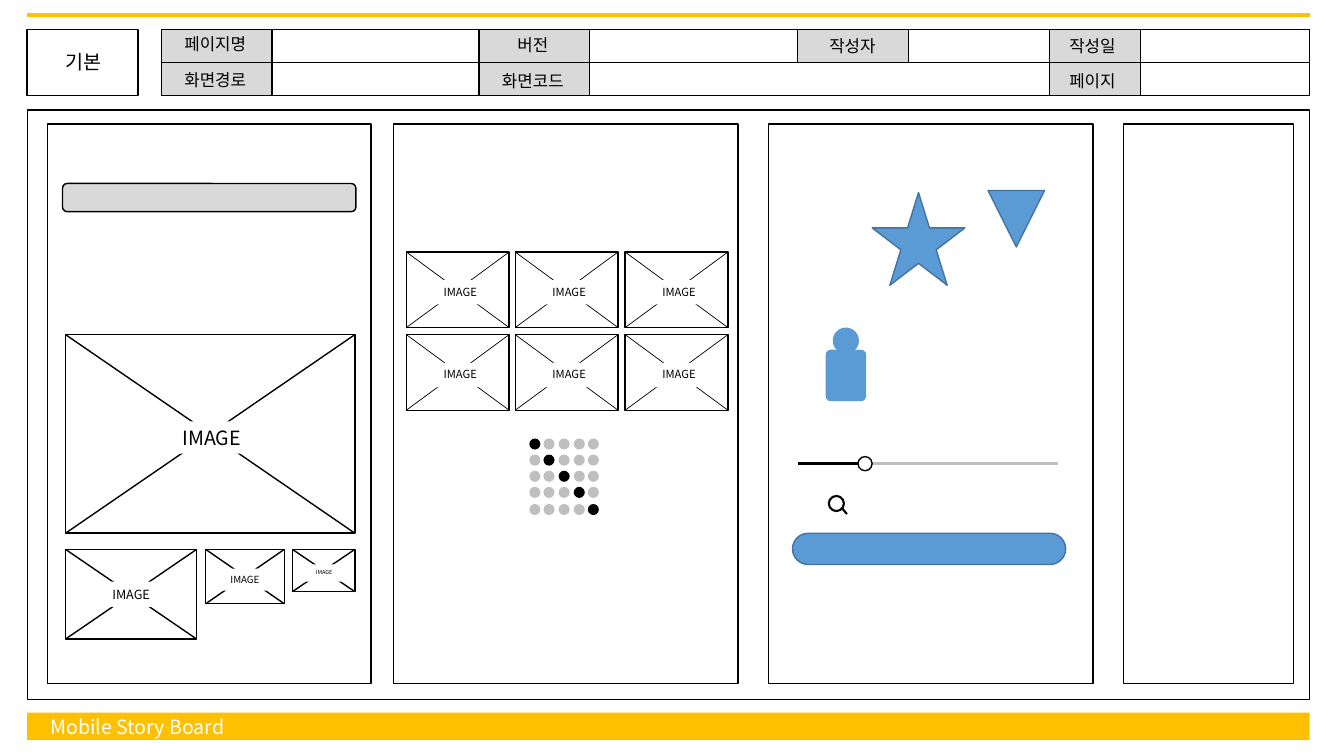
from lxml import etree
from pptx import Presentation
from pptx.dml.color import RGBColor
from pptx.enum.shapes import MSO_CONNECTOR, MSO_SHAPE
from pptx.enum.text import MSO_AUTO_SIZE, PP_ALIGN
from pptx.oxml.ns import qn
from pptx.util import Pt

PX = 9144  # 100 px to the inch
FONT = "Noto Sans CJK KR"
LINE = MSO_CONNECTOR.STRAIGHT
RECT = MSO_SHAPE.RECTANGLE
ROUND = MSO_SHAPE.ROUNDED_RECTANGLE
OVAL = MSO_SHAPE.OVAL
STAR = MSO_SHAPE.STAR_5_POINT
WEDGE = MSO_SHAPE.FLOWCHART_EXTRACT
GROW = MSO_AUTO_SIZE.SHAPE_TO_FIT_TEXT
LEFT, CENTER = PP_ALIGN.LEFT, PP_ALIGN.CENTER

COLORS = {
    "black": "000000",
    "white": "FFFFFF",
    "gold": "FFC000",
    "light": "D9D9D9",
    "gray": "BFBFBF",
    "blue": "5B9BD5",
    "navy": "43739E",
}


def color(name):
    return RGBColor.from_string(COLORS[name])


def scale(box):
    return [n * PX for n in box]


def add_box(shapes, kind, box, fill=None, edge="black", weight=1, round_by=None):
    shape = shapes.add_shape(kind, *scale(box))
    shape.shadow.inherit = False
    if fill:
        shape.fill.solid()
        shape.fill.fore_color.rgb = color(fill)
    else:
        shape.fill.background()
    if edge:
        shape.line.color.rgb = color(edge)
        shape.line.width = Pt(weight)
    else:
        shape.line.fill.background()
    if round_by is not None:
        shape.adjustments[0] = round_by
    return shape


def add_line(shapes, ends, tint="black", weight=1):
    line = shapes.add_connector(LINE, *scale(ends))
    line.line.color.rgb = color(tint)
    line.line.width = Pt(weight)
    etree.SubElement(line._element.spPr, qn("a:effectLst"))
    return line


def add_text(shapes, text, box, size, tint="black", align=CENTER):
    label = shapes.add_textbox(*scale(box))
    frame = label.text_frame
    frame.word_wrap = True
    frame.auto_size = GROW
    frame.text = text
    para = frame.paragraphs[0]
    para.alignment = align
    font = para.runs[0].font
    font.size = Pt(size)
    font.name = FONT
    font.color.rgb = color(tint)
    east = etree.SubElement(font._element, qn("a:ea"))
    east.set("typeface", FONT)
    return label


def add_image(shapes, box, label, size, weight=1):
    """Crossed frame; the label box is relative to the frame."""
    x, y, w, h = box
    dx, dy, wide, high = label
    group = shapes.add_group_shape().shapes
    add_box(group, RECT, box)
    add_line(group, (x, y, x + w, y + h), weight=weight)
    add_line(group, (x + w, y, x, y + h), weight=weight)
    text = add_text(group, "IMAGE", (x + dx, y + dy, wide, high), size)
    text.fill.solid()
    text.fill.fore_color.rgb = color("white")
    text.text_frame.margin_left = text.text_frame.margin_right = 0


def add_header(shapes):
    add_box(shapes, RECT, (27, 29, 110, 66))
    table = add_box(shapes, RECT, (160, 29, 1139, 66))
    for x, w, h in ((160, 110, 66), (475, 110, 66), (791, 110, 33), (1041, 90, 66)):
        add_box(shapes, RECT, (x, 29, w, h), "light")
    rule = add_line(shapes, (160, 62, 1299, 62))
    rule.begin_connect(table, 1)
    rule.end_connect(table, 3)

    add_text(shapes, "기본", (35, 45, 95, 34), 14)
    labels = (
        ("페이지명", 166, 29), ("화면경로", 166, 64),
        ("버전", 481, 30), ("화면코드", 481, 65),
        ("작성자", 798, 31),
        ("작성일", 1036, 31), ("페이지", 1036, 65),
    )
    for text, x, y in labels:
        add_text(shapes, text, (x, y, 95, 30), 12)


def add_dots(shapes):
    for row in range(5):
        group = shapes.add_group_shape().shapes
        for col in range(5):
            fill = "black" if row == col else "gray"
            spot = (525 + 147 * col // 10, 435 + 65 * row // 4, 11, 11)
            add_box(group, OVAL, spot, fill, None)


def add_icons(shapes):
    add_box(shapes, STAR, (865, 191, 92, 92), "blue", "navy")
    arrow = add_box(shapes, WEDGE, (980, 189, 56, 56), "blue", "navy")
    arrow.rotation = 180

    # Person
    group = shapes.add_group_shape().shapes
    add_box(group, OVAL, (826, 325, 26, 26), "blue", None)
    add_box(group, ROUND, (819, 347, 40, 51), "blue", None, round_by=0.12)

    # Slider
    add_line(shapes, (791, 460, 859, 460), "black", 2.25)
    add_line(shapes, (859, 460, 1049, 460), "gray", 2.25)
    add_box(shapes, OVAL, (851, 453, 14, 14), "white")

    # Search
    group = shapes.add_group_shape().shapes
    add_box(group, OVAL, (822, 492, 15, 15), "white", weight=1.5)
    add_line(group, (835, 504, 840, 510), weight=1.5)

    # Button
    add_box(shapes, ROUND, (786, 529, 271, 31), "blue", "navy", round_by=0.5)


def main():
    deck = Presentation()
    deck.slide_width, deck.slide_height = scale((1333, 750))
    shapes = deck.slides.add_slide(deck.slide_layouts[6]).shapes

    # Top rule and footer
    add_line(shapes, (27, 15, 1299, 15), "gold", 3)
    add_box(shapes, RECT, (27, 707, 1272, 27), "gold", None)
    add_text(shapes, "Mobile Story Board", (40, 704, 350, 34), 14, "white", LEFT)

    # Header table
    add_header(shapes)

    # Board and its panels
    add_box(shapes, RECT, (27, 109, 1272, 585))
    for x, w in ((47, 321), (390, 342), (762, 322), (1114, 169)):
        add_box(shapes, RECT, (x, 123, w, 555))

    # First panel: bar and images
    add_box(shapes, ROUND, (62, 182, 291, 28), "light")
    images = (
        ((65, 332, 287, 197), (100, 86, 90, 32), 14),
        ((65, 545, 130, 89), (24, 32, 82, 25), 9),
        ((204, 545, 78, 54), (14, 19, 50, 22), 7),
        ((290, 545, 62, 42), (12, 15, 39, 17), 4),
    )
    for box, label, size in images:
        add_image(shapes, box, label, size)

    # Second panel: image grid and dots
    for row in range(2):
        for col in range(3):
            box = (403 + 217 * col // 2, 250 + 82 * row, 102, 75)
            add_image(shapes, box, (24, 28, 59, 24), 8, 0.5)
    add_dots(shapes)

    # Third panel: icons
    add_icons(shapes)
    deck.save("out.pptx")


if __name__ == "__main__":
    main()
